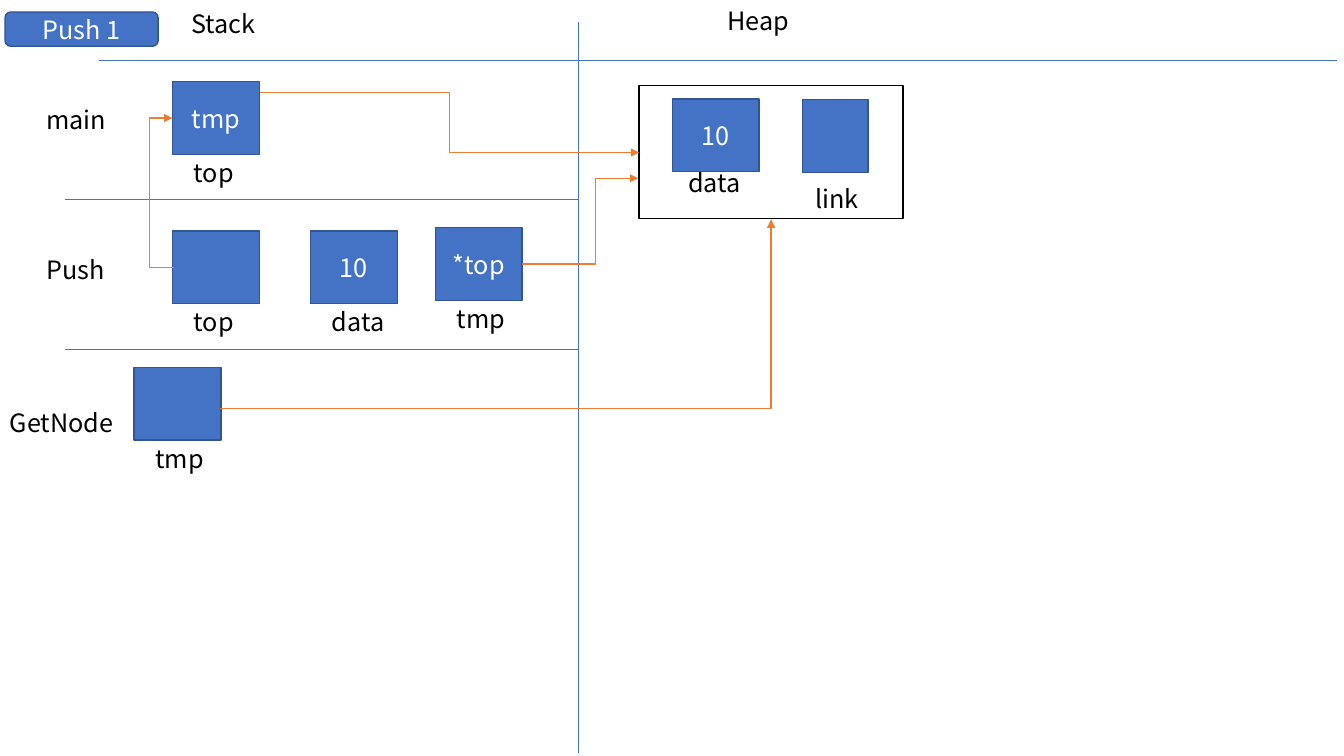
from dataclasses import dataclass
from typing import Optional

from lxml.etree import SubElement as Sub
from pptx import Presentation
from pptx.dml.color import RGBColor as RGB
from pptx.enum.shapes import MSO_CONNECTOR as Link, MSO_SHAPE as Kind
from pptx.enum.text import MSO_ANCHOR as Anchor, PP_ALIGN as Align
from pptx.oxml.ns import qn
from pptx.util import Pt

BLUE = RGB(0x44, 0x72, 0xC4)
EDGE = RGB(0x32, 0x54, 0x91)
ORANGE = RGB(0xED, 0x7D, 0x31)
BLACK = RGB(0, 0, 0)
WHITE = RGB(255, 255, 255)
FONT = "Noto Sans CJK KR"

WIDE, HIGH = 62, 52        # a memory cell
TOP, PITCH = 58.3, 106.6   # first frame's cells, distance between frames
SPLIT = 413.3              # border of stack and heap


@dataclass
class Cell:
    x: float
    y: float
    name: str
    text: str = ""
    wide: float = WIDE
    dx: float = 8.2        # name's offset from the cell
    dy: float = 50.4


@dataclass
class Arrow:
    x1: float
    y1: float
    x2: float
    y2: float
    bend: Optional[float] = None   # x of the middle leg; None is one corner


deck = Presentation()
deck.slide_width, deck.slide_height = Pt(960), Pt(540)
slide = deck.slides.add_slide(deck.slide_layouts[6])
shapes = slide.shapes


def write(shape, text: str, color=BLACK, align=Align.LEFT, anchor=Anchor.TOP):
    frame = shape.text_frame
    frame.word_wrap = True
    frame.vertical_anchor = anchor
    para = frame.paragraphs[0]
    para.alignment = align
    run = para.add_run()
    run.text = text
    run.font.name, run.font.size = FONT, Pt(18)
    run.font.color.rgb = color


def label(x: float, y: float, text: str, wide: float = WIDE) -> None:
    write(shapes.add_textbox(Pt(x), Pt(y), Pt(wide), Pt(29)), text)


def block(x: float, y: float, wide: float, high: float, text: str = "",
          kind=Kind.RECTANGLE, fill=BLUE, edge=EDGE) -> None:
    shape = shapes.add_shape(kind, Pt(x), Pt(y), Pt(wide), Pt(high))
    shape.shadow.inherit = False
    shape.fill.solid()
    shape.fill.fore_color.rgb = fill
    shape.line.color.rgb, shape.line.width = edge, Pt(1)
    if text:
        write(shape, text, color=WHITE, align=Align.CENTER, anchor=Anchor.MIDDLE)


def line(x1: float, y1: float, x2: float, y2: float,
         kind=Link.STRAIGHT, color=BLUE, width: float = 0.5):
    wire = shapes.add_connector(kind, Pt(x1), Pt(y1), Pt(x2), Pt(y2))
    wire.line.color.rgb, wire.line.width = color, Pt(width)
    Sub(wire._element.spPr, qn("a:effectLst"))
    return wire


def draw_cell(cell: Cell) -> None:
    label(cell.x + cell.dx, cell.y + cell.dy, cell.name)
    block(cell.x, cell.y, cell.wide, HIGH, cell.text)


def draw_arrow(arr: Arrow) -> None:
    wire = line(arr.x1, arr.y1, arr.x2, arr.y2, Link.ELBOW, ORANGE, 1)
    prop = wire._element.spPr
    Sub(prop.find(qn("a:ln")), qn("a:tailEnd"), type="triangle")
    geom = prop.find(qn("a:prstGeom"))
    if arr.bend is None:
        geom.set("prst", "bentConnector2")
        return
    part = (arr.bend - arr.x1) / (arr.x2 - arr.x1)
    Sub(geom.find(qn("a:avLst")), qn("a:gd"),
        name="adj1", fmla=f"val {round(part * 100000)}")


# Headings and the borders of stack and heap
label(129.6, 2.2, "Stack")
label(512.6, 0, "Heap")
line(70.6, 43.2, 954.7, 43.2)
line(SPLIT, 15.8, SPLIT, 537.8)
block(3.6, 8.6, 109.4, 24.5, "Push 1", kind=Kind.ROUNDED_RECTANGLE)

# Stack frames, each of the first two closed by a line
for row, name in enumerate(["main", "Push"]):
    label(25.9, 71.3 + row * PITCH, name)
    line(46.1, 142.6 + row * PITCH, SPLIT, 142.6 + row * PITCH)
label(0, 287.3, "GetNode", wide=91.4)

# Heap node and all memory cells
block(456.5, 61.2, 188.6, 95, fill=WHITE, edge=BLACK)
push = TOP + PITCH
cells = [
    Cell(123.2, TOP, "top", "tmp"),
    Cell(123.2, push, "top"),
    Cell(221.8, push, "data", "10"),
    Cell(311, push - 2.2, "tmp", "*top"),
    Cell(95.8, 262.4, "tmp"),
    Cell(480.2, 70.6, "data", "10", dx=4.3, dy=45.4),
    Cell(573.1, 71.3, "link", wide=46.8, dx=2.2, dy=56.1),
]
for cell in cells:
    draw_cell(cell)

# Pointers
arrows = [
    Arrow(124.4, 190.9, 123.2, 84.3, bend=106.6),
    Arrow(157.2, 292, 550.8, 156.8),
    Arrow(373, 188.7, 455.8, 127.4, bend=425.2),
    Arrow(185.6, 66.3, 456.5, 109, bend=321.1),
]
for arr in arrows:
    draw_arrow(arr)

deck.save("out.pptx")
